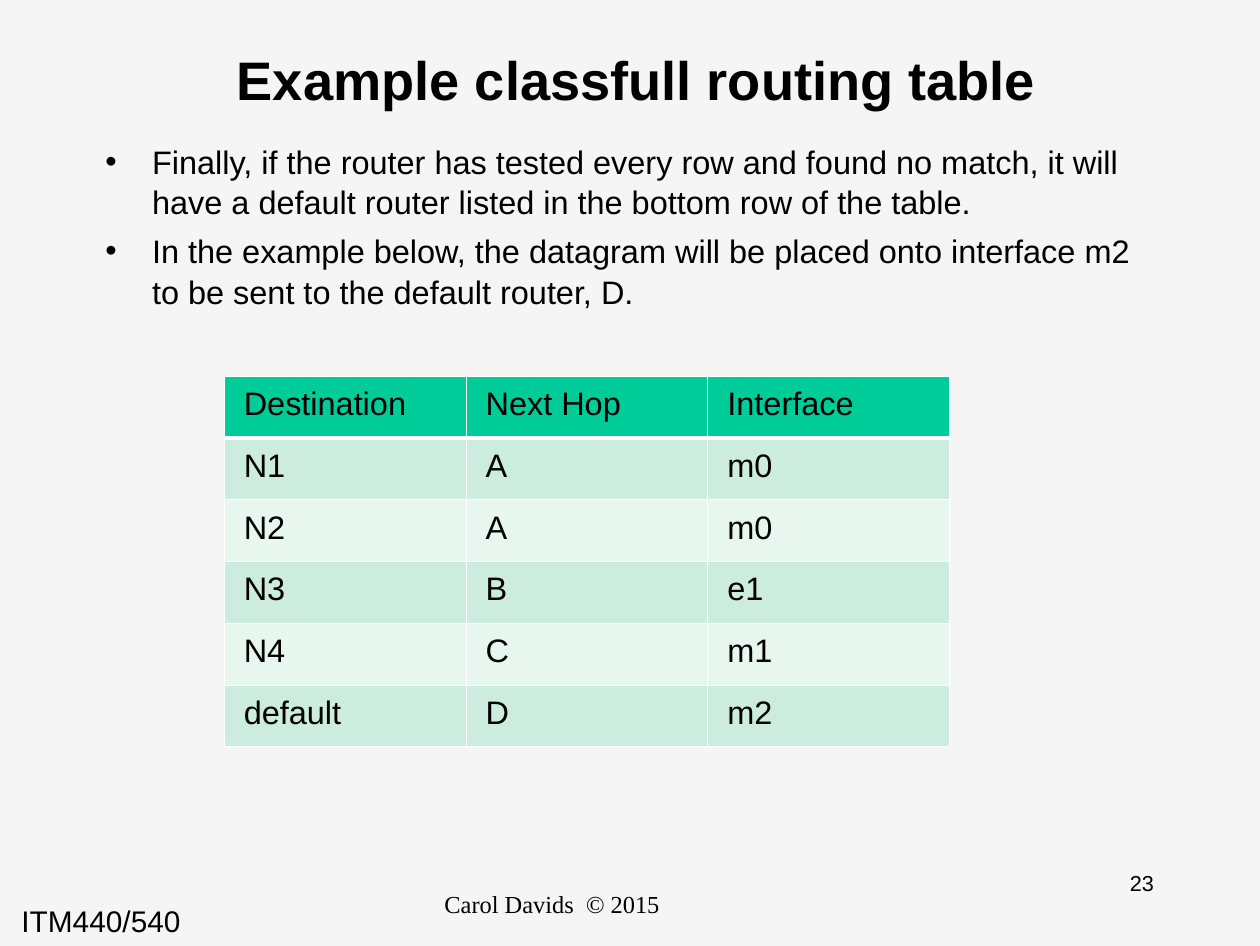
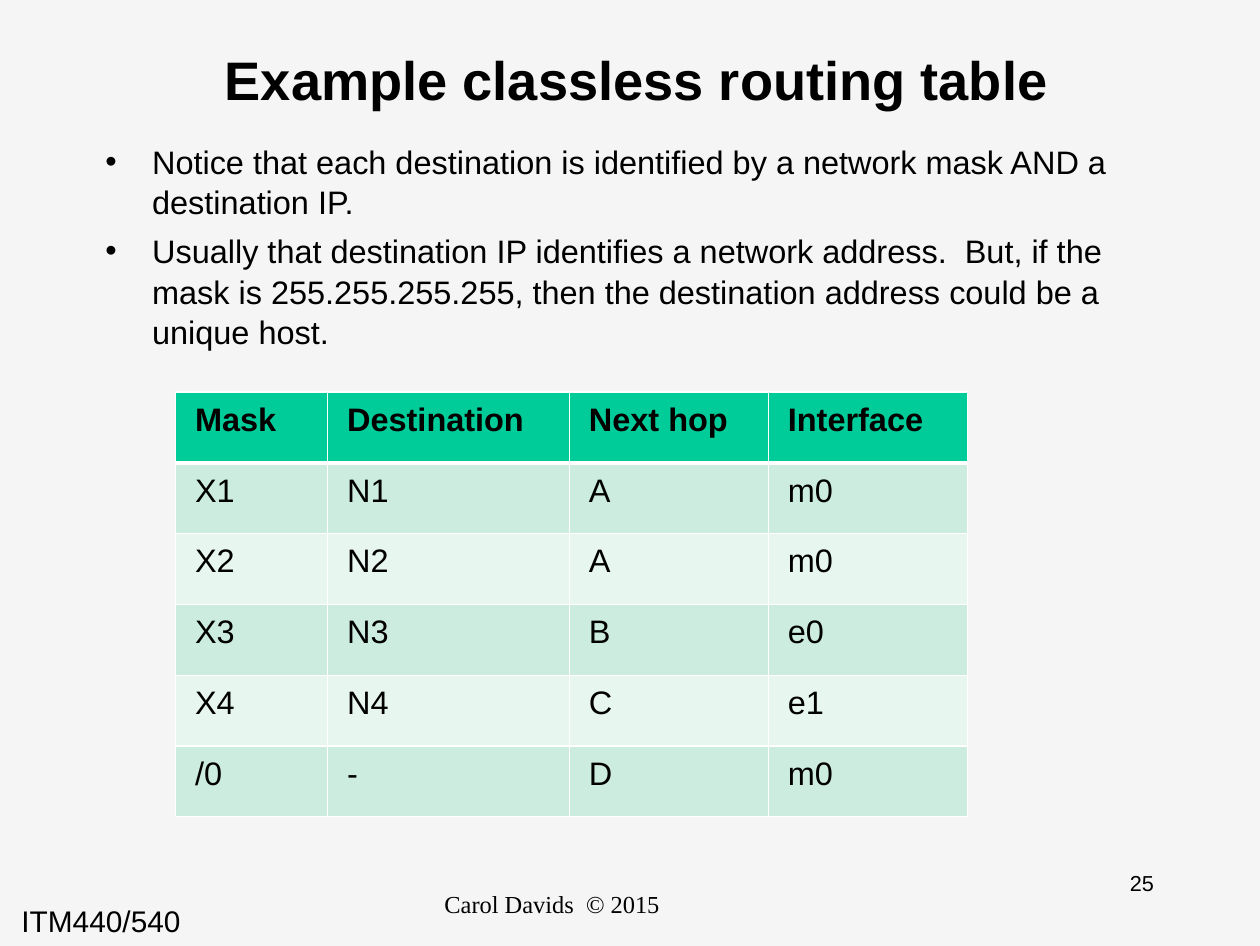
"""Build two slides that show example routing tables."""
from lxml import etree
from pptx import Presentation
from pptx.dml.color import RGBColor
from pptx.enum.text import MSO_ANCHOR, MSO_AUTO_SIZE, PP_ALIGN
from pptx.oxml.ns import qn
from pptx.util import Inches, Pt

BLACK = RGBColor(0x00, 0x00, 0x00)
PAPER = RGBColor(0xF5, 0xF5, 0xF5)
HEAD = RGBColor(0x00, 0xCC, 0x99)
DARK = RGBColor(0xCB, 0xEC, 0xDE)
LIGHT = RGBColor(0xE7, 0xF6, 0xEF)
EDGE = "FFFFFF"
SANS = "Arial"
SERIF = "Times New Roman"
LEFT, CENTER = PP_ALIGN.LEFT, PP_ALIGN.CENTER
MIDDLE = MSO_ANCHOR.MIDDLE
FIXED = MSO_AUTO_SIZE.NONE
THIN, THICK = Pt(0.45), Pt(1.47)

PAGES = [
    {
        "title": " Example classfull routing table",
        "number": "23",
        "points": [
            "Finally, if the router has tested every row and found no match, it will "
            "have a default router listed in the bottom row of the table.",
            "In the example below, the datagram will be placed onto interface m2 "
            "to be sent to the default router, D.",
        ],
        "place": (1.15, 1.93),
        "height": 1.9,
        "widths": [1.24, 1.24, 1.24],
        "bold": False,
        "rows": [
            ["Destination", "Next Hop", "Interface"],
            ["N1", "A", "m0"],
            ["N2", "A", "m0"],
            ["N3", "B", "e1"],
            ["N4", "C", "m1"],
            ["default", "D", "m2"],
        ],
    },
    {
        "title": " Example classless routing table",
        "number": "25",
        "points": [
            "Notice that each destination is identified by a network mask AND a "
            "destination IP.",
            "Usually that destination IP identifies a network address.  But, if the "
            "mask is 255.255.255.255, then the destination address could be a "
            "unique host.",
        ],
        "place": (0.9, 2.01),
        "height": 2.18,
        "widths": [0.78, 1.24, 1.02, 1.02],
        "bold": True,
        "rows": [
            ["Mask", "Destination", "Next hop", "Interface"],
            ["X1", "N1", "A", "m0"],
            ["X2", "N2", "A", "m0"],
            ["X3", "N3", "B", "e0"],
            ["X4", "N4", "C", "e1"],
            ["/0", "-", "D", "m0"],
        ],
    },
]


def write(para, text, size, face=SANS, bold=False, align=LEFT):
    """Add one styled run to a paragraph."""
    para.alignment = align
    run = para.add_run()
    run.text = text
    font = run.font
    font.name, font.size, font.bold = face, Pt(size), bold
    font.color.rgb = BLACK


def frame(shape, side=0.06, edge=0.03):
    """Set the margins of a shape and return its text frame."""
    box = shape.text_frame
    box.auto_size = FIXED
    box.word_wrap = True
    box.margin_left = box.margin_right = Inches(side)
    box.margin_top = box.margin_bottom = Inches(edge)
    return box


prs = Presentation()
prs.slide_width, prs.slide_height = Inches(6.46), Inches(4.85)
back = prs.slide_master.background.fill
back.solid()
back.fore_color.rgb = PAPER

for page in PAGES:
    slide = prs.slides.add_slide(prs.slide_layouts[5])
    shapes = slide.shapes

    title = shapes.title
    title.left, title.top = Inches(0.48), Inches(0)
    title.width, title.height = Inches(5.49), Inches(0.81)
    box = frame(title)
    box.vertical_anchor = MIDDLE
    write(box.paragraphs[0], page["title"], 20, bold=True, align=CENTER)

    notes = [
        ("ITM440/540", (0, 4.58, 2.1, 0.29), 11, SANS, LEFT, (0.11, 0.05)),
        (page["number"], (5.35, 4.43, 1.01, 0.32), 8, SANS, CENTER, (0.06, 0.03)),
        ("Carol Davids  © 2015", (1.7, 4.53, 2.26, 0.32), 9, SERIF, CENTER, (0.06, 0.03)),
    ]
    for text, place, size, face, align, inset in notes:
        box = frame(shapes.add_textbox(*map(Inches, place)), *inset)
        write(box.paragraphs[0], text, size, face, align=align)

    place = (0.48, 0.69, 5.49, 1.2)
    box = frame(shapes.add_textbox(*map(Inches, place)))
    for i, point in enumerate(page["points"]):
        para = box.add_paragraph() if i else box.paragraphs[0]
        props = para._p.get_or_add_pPr()
        props.set("marL", str(Inches(0.24)))
        props.set("indent", str(Inches(-0.24)))
        etree.SubElement(props, qn("a:buFont"), typeface=SANS)
        etree.SubElement(props, qn("a:buChar"), char="•")
        para.line_spacing = 1.04
        if i:
            para.space_before = Pt(3)
        write(para, point, 12)

    rows, widths = page["rows"], page["widths"]
    x, y = page["place"]
    size = (x, y, sum(widths), page["height"])
    table = shapes.add_table(len(rows), len(widths), *map(Inches, size)).table
    for col, width in zip(table.columns, widths):
        col.width = Inches(width)
    for r, row in enumerate(rows):
        table.rows[r].height = Inches(page["height"] / len(rows))
        for c, text in enumerate(row):
            cell = table.cell(r, c)
            props = cell._tc.get_or_add_tcPr()
            for tag in ("lnL", "lnR", "lnT", "lnB"):
                thick = (r, tag) in ((0, "lnB"), (1, "lnT"))
                line = etree.SubElement(props, qn("a:" + tag), w=str(THICK if thick else THIN))
                fill = etree.SubElement(line, qn("a:solidFill"))
                etree.SubElement(fill, qn("a:srgbClr"), val=EDGE)
            cell.fill.solid()
            cell.fill.fore_color.rgb = HEAD if r == 0 else DARK if r % 2 else LIGHT
            write(cell.text_frame.paragraphs[0], text, 12, bold=page["bold"] and r == 0)

prs.save("out.pptx")
